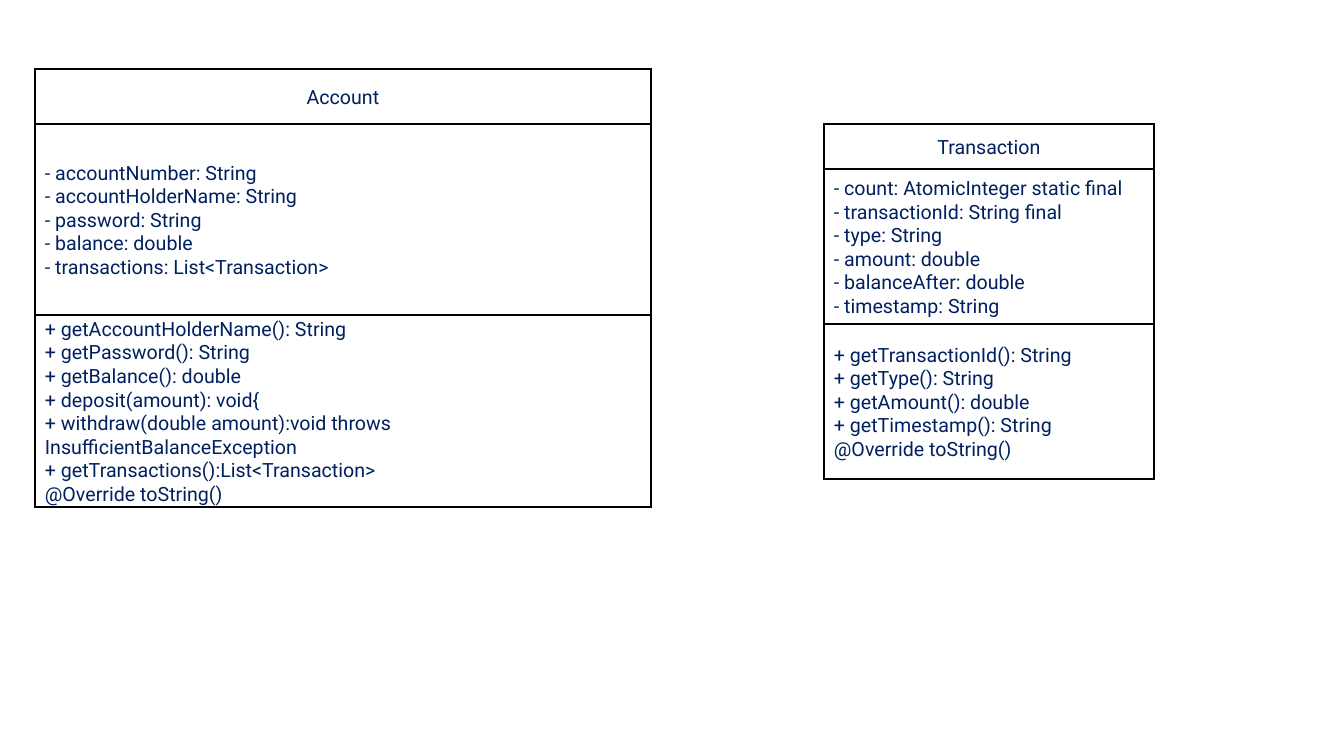
from dataclasses import dataclass

from lxml.etree import SubElement
from pptx import Presentation
from pptx.dml.color import RGBColor
from pptx.enum.shapes import MSO_SHAPE as Shape
from pptx.enum.text import MSO_ANCHOR as Anchor, PP_ALIGN as Align
from pptx.oxml.ns import qn
from pptx.shapes.group import GroupShape
from pptx.slide import Slide
from pptx.util import Emu, Pt

EMU_PER_PX = 914400 / 100.8
COLORS = {"border": "000000", "text": "002060"}
FRAME_FORMAT = {"word_wrap": True, "vertical_anchor": Anchor.MIDDLE}
FONT_FORMAT = {"name": "Roboto", "size": Pt(14)}


@dataclass(frozen=True)
class UmlClass:
    name: str
    left: int
    top: int
    width: int
    heights: tuple[int, int, int]
    fields: tuple[str, ...]
    methods: tuple[str, ...]


CLASSES = (
    UmlClass(
        "Account", 35, 69, 616, (55, 191, 192),
        (
            "- accountNumber: String",
            "- accountHolderName: String",
            "- password: String",
            "- balance: double",
            "- transactions: List<Transaction>",
        ),
        (
            "+ getAccountHolderName(): String",
            "+ getPassword(): String",
            "+ getBalance(): double",
            "+ deposit(amount): void{",
            "+ withdraw(double amount):void throws InsufficientBalanceException",
            "+ getTransactions():List<Transaction>",
            "@Override toString()",
        ),
    ),
    UmlClass(
        "Transaction", 824, 124, 330, (45, 155, 155),
        (
            "- count: AtomicInteger static final",
            "- transactionId: String final",
            "- type: String",
            "- amount: double",
            "- balanceAfter: double",
            "- timestamp: String",
        ),
        (
            "+ getTransactionId(): String",
            "+ getType(): String",
            "+ getAmount(): double",
            "+ getTimestamp(): String",
            "@Override toString()",
        ),
    ),
)


def px(length: int) -> Emu:
    return Emu(round(length * EMU_PER_PX))


def color(name: str) -> RGBColor:
    return RGBColor.from_string(COLORS[name])


def apply_format(target: object, values: dict[str, object]) -> None:
    for name, value in values.items():
        setattr(target, name, value)


def draw_section(
    group: GroupShape,
    bounds: tuple[int, int, int, int],
    lines: tuple[str, ...],
    alignment: Align,
) -> None:
    box = group.shapes.add_shape(Shape.RECTANGLE, *map(px, bounds))
    box.shadow.inherit = False
    box.fill.background()
    box.line.color.rgb = color("border")
    box.line.width = Pt(1.5)
    outline = box.element.spPr.find(qn("a:ln"))
    SubElement(outline, qn("a:miter"), lim="800000")
    frame = box.text_frame
    apply_format(frame, FRAME_FORMAT)
    for index, line in enumerate(lines):
        para = frame.add_paragraph() if index else frame.paragraphs[0]
        para.alignment = alignment
        span = para.add_run()
        span.text = line
        apply_format(span.font, FONT_FORMAT)
        span.font.color.rgb = color("text")


def draw_class(page: Slide, uml: UmlClass) -> None:
    group = page.shapes.add_group_shape()
    sections = (
        ((uml.name,), Align.CENTER),
        (uml.fields, Align.LEFT),
        (uml.methods, Align.LEFT),
    )
    top = uml.top
    for height, (lines, alignment) in zip(uml.heights, sections):
        draw_section(group, (uml.left, top, uml.width, height), lines, alignment)
        top += height


def main() -> None:
    deck = Presentation()
    apply_format(deck, {"slide_width": px(1344), "slide_height": px(756)})
    page = deck.slides.add_slide(deck.slide_layouts[6])
    for uml in CLASSES:
        draw_class(page, uml)
    deck.save("out.pptx")


if __name__ == "__main__":
    main()
